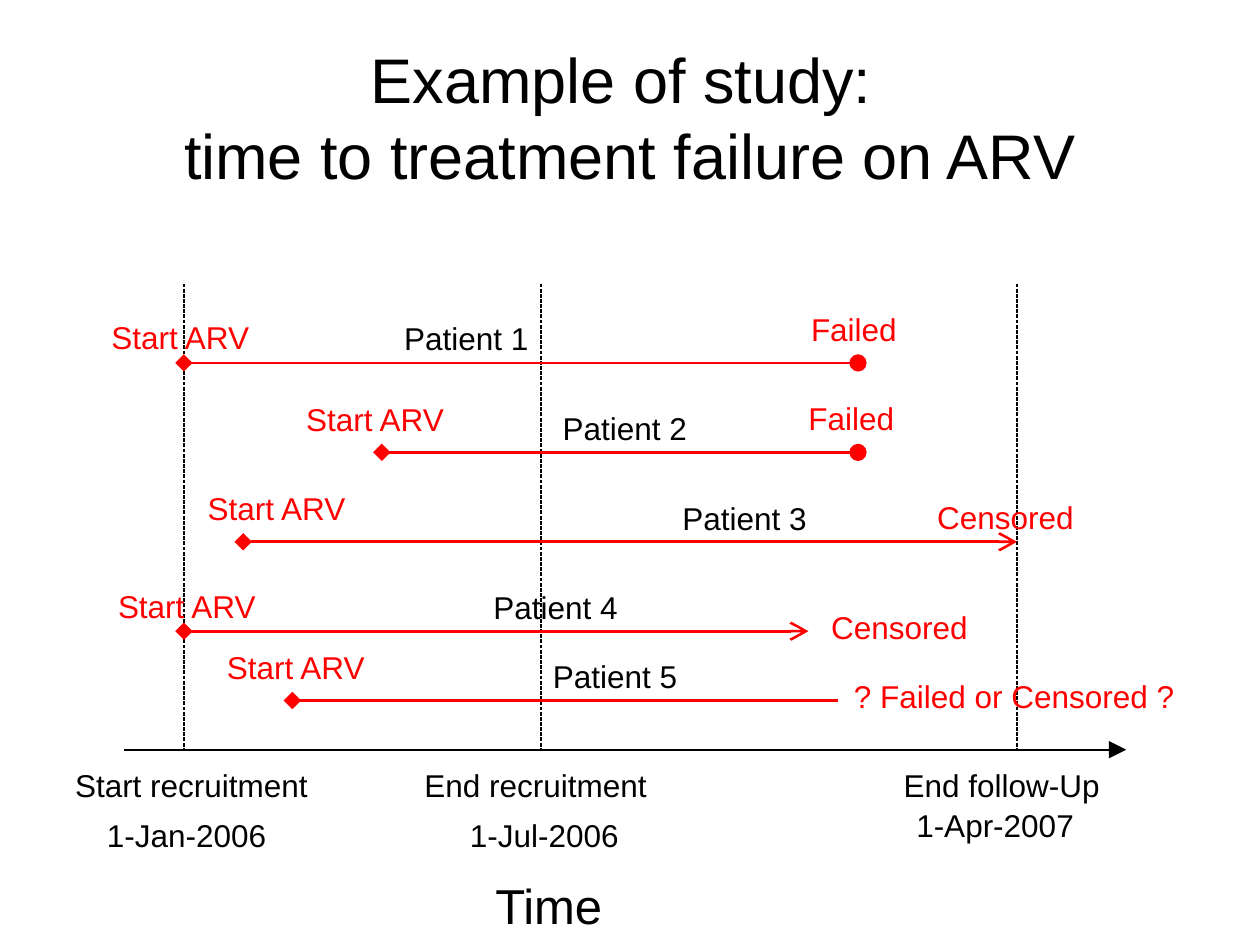
import pptx
import pptx.util
import pptx.dml.color
import pptx.enum.dml
import pptx.enum.shapes
import pptx.enum.text
import pptx.oxml
import pptx.oxml.ns
from collections import namedtuple
from dataclasses import dataclass

Pt = pptx.util.Pt
Box = namedtuple("Box", "left top width height")
Patient = namedtuple("Patient", "line_y start end tail labels")


@dataclass(frozen=True)
class Theme:
    font: str = "Arial"
    ink: str = "000000"
    event: str = "FF0000"
    title_size: int = 36
    axis_size: int = 28
    label_size: int = 18
    label_height: int = 29


THEME = Theme()
LABEL_WIDTHS = {"Start ARV": 96, "Failed": 66, "Censored": 95, "? Failed or Censored ?": 200}
PATIENT_WIDTH = 88

# Positions inside the timeline box; each label is (text, centre x, rise above the line)
MILESTONE_XS = (35.1, 239.1, 511.2)
PATIENTS = (
    Patient(45.4, 35.1, 420.3, "oval", (("Start ARV", 33, 29), ("Patient 1", 196.5, 28.5), ("Failed", 418, 34))),
    Patient(96.5, 148.2, 420.3, "oval", (("Start ARV", 144.3, 33.5), ("Patient 2", 287, 28.5), ("Failed", 416.5, 34))),
    Patient(147.6, 69, 511.2, "arrow", (("Start ARV", 88, 33.8), ("Patient 3", 355.5, 28.2), ("Censored", 504.5, 28.8))),
    Patient(198.7, 35.1, 392, "arrow", (("Start ARV", 36.8, 28.8), ("Patient 4", 247.5, 28.2), ("Censored", 444, 17))),
    Patient(238.3, 97.1, 409, None, (("Start ARV", 99, 33.8), ("Patient 5", 281.5, 28.3),
                                     ("? Failed or Censored ?", 509.5, 17))),
)
# Positions inside the axis box: text, centre x, top, width
AXIS_LABELS = (
    ("Start recruitment", 38.8, 6, 150), ("1-Jan-2006", 36, 34.6, 108),
    ("End recruitment", 235.5, 6, 144), ("1-Jul-2006", 240.5, 34.6, 102),
    ("End follow-Up", 501.8, 6, 129), ("1-Apr-2007", 498, 28.6, 107),
)


def write_text(frame, text, size=THEME.label_size, color=THEME.ink):
    para = frame.paragraphs[0]
    para.text = text
    para.alignment = pptx.enum.text.PP_ALIGN.CENTER
    for span in para.runs:
        span.font.name = THEME.font
        span.font.size = Pt(size)
        span.font.color.rgb = pptx.dml.color.RGBColor.from_string(color)


def add_label(page, text, center, top, width, height=THEME.label_height, **text_format):
    box = page.shapes.add_textbox(Pt(center - width / 2), Pt(top), Pt(width), Pt(height))
    box.text_frame.word_wrap = False
    box.text_frame.auto_size = pptx.enum.text.MSO_AUTO_SIZE.SHAPE_TO_FIT_TEXT
    write_text(box.text_frame, text, **text_format)


def add_line(page, start, end, color=THEME.ink, width=1, head=None, tail=None, dash=None):
    line = page.shapes.add_connector(
        pptx.enum.shapes.MSO_CONNECTOR.STRAIGHT, *(Pt(value) for value in (*start, *end)))
    line.line.color.rgb = pptx.dml.color.RGBColor.from_string(color)
    line.line.width = Pt(width)
    if dash:
        line.line.dash_style = dash
    outline = line.get_or_add_ln()
    for tag, kind in (("a:headEnd", head), ("a:tailEnd", tail)):
        if kind:
            marker = pptx.oxml.xmlchemy.OxmlElement(tag)
            for name, value in (("type", kind), ("w", "lg"), ("len", "lg")):
                marker.set(name, value)
            outline.append(marker)
    properties = line.element.find(pptx.oxml.ns.qn("p:spPr"))
    properties.append(pptx.oxml.xmlchemy.OxmlElement("a:effectLst"))


def place_title(page, box):
    title = page.shapes.title
    title.left, title.top, title.width, title.height = (Pt(value) for value in box)
    title.text_frame.vertical_anchor = pptx.enum.text.MSO_ANCHOR.MIDDLE
    write_text(title.text_frame, "Example of study: \vtime to treatment failure on ARV",
               size=THEME.title_size)


def place_timeline(page, box):
    # Milestone guides
    for x in MILESTONE_XS:
        add_line(page, (box.left + x, box.top), (box.left + x, box.top + box.height),
                 width=0.75, dash=pptx.enum.dml.MSO_LINE.SQUARE_DOT)
    # One line per patient, with its labels
    for patient in PATIENTS:
        y = box.top + patient.line_y
        add_line(page, (box.left + patient.start, y), (box.left + patient.end, y),
                 color=THEME.event, width=1.5, head="diamond", tail=patient.tail)
        for text, center, rise in patient.labels:
            color = THEME.event if text in LABEL_WIDTHS else THEME.ink
            add_label(page, text, box.left + center, y - rise,
                      LABEL_WIDTHS.get(text, PATIENT_WIDTH), color=color)


def place_axis(page, box):
    # Time arrow
    add_line(page, (box.left, box.top), (box.left + box.width, box.top), tail="triangle")
    # Milestone names and dates
    for text, center, top, width in AXIS_LABELS:
        add_label(page, text, box.left + center, box.top + top, width)
    # Axis title
    add_label(page, "Time", box.left + 243, box.top + 68.5, 78, height=41, size=THEME.axis_size)


def main():
    deck = pptx.Presentation()
    deck.slide_width, deck.slide_height = Pt(720), Pt(540)
    page = deck.slides.add_slide(deck.slide_layouts.get_by_name("Title Only"))
    place_title(page, Box(36, 21.6, 648, 90))
    place_timeline(page, Box(70, 162, 574, 266.4))
    place_axis(page, Box(70.6, 428.4, 573, 111.6))
    deck.save("out.pptx")


if __name__ == "__main__":
    main()
